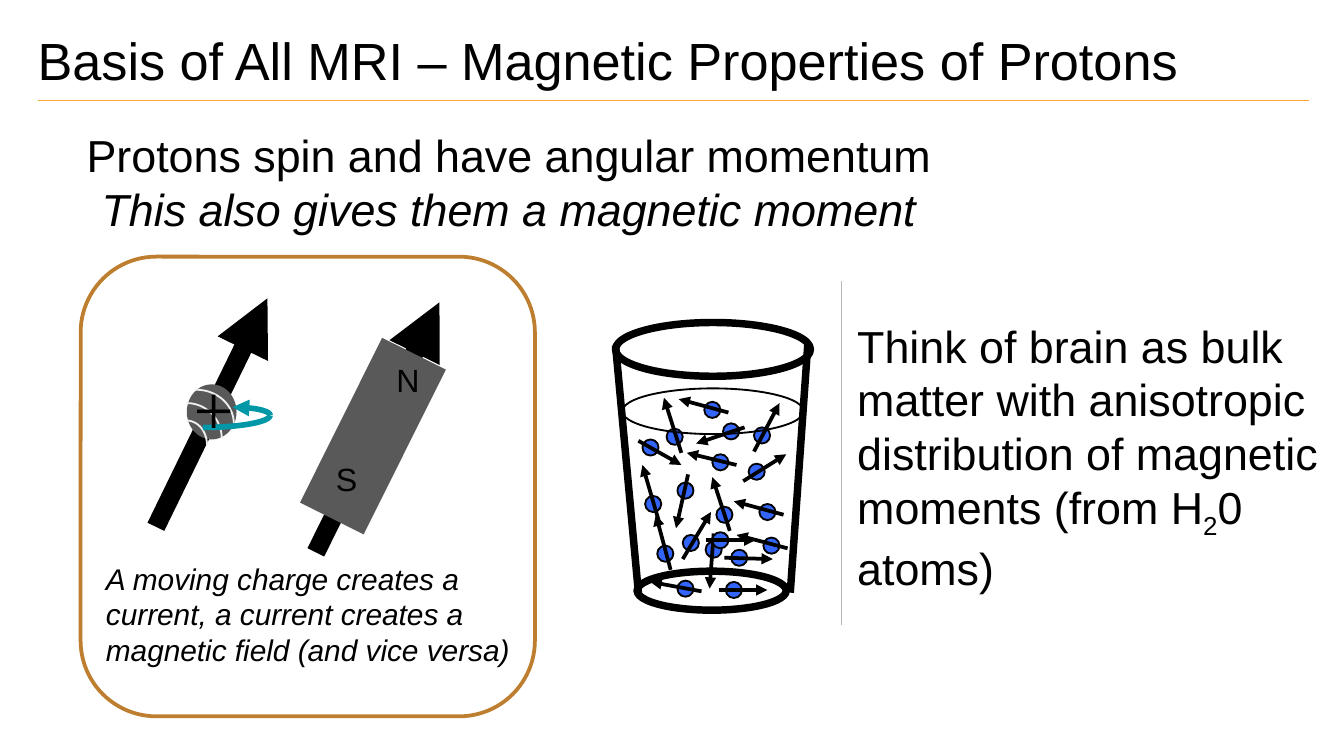
"""Build a slide on the magnetic properties of protons as the basis of MRI."""
import math
from dataclasses import dataclass

import lxml.etree
import pptx
import pptx.dml.color
import pptx.enum.shapes
import pptx.enum.text
import pptx.oxml.ns
import pptx.util

Inches = pptx.util.Inches
SHAPES = pptx.enum.shapes.MSO_SHAPE
ALIGN = pptx.enum.text.PP_ALIGN
BLACK, GREY, PALE, TEAL = "000000", "595959", "EEEEEE", "0097A7"
BLUE, ORANGE, BROWN, SILVER = "3365FB", "FEA83A", "BD7F2F", "B7B7B7"
PROTON_SIZE = 0.12


@dataclass(frozen=True)
class Box:
    left: float
    top: float
    width: float
    height: float


@dataclass(frozen=True)
class Stroke:
    x1: float
    y1: float
    x2: float
    y2: float


@dataclass(frozen=True)
class Proton:
    left: float
    top: float
    moment: Stroke


@dataclass(frozen=True)
class QuarterArc:
    center_x: float
    center_y: float
    radius_x: float
    radius_y: float


@dataclass(frozen=True)
class Style:
    size: float
    font: str = "Arial"
    italic: bool = False


PROTONS = [
    Proton(5.61, 3.18, Stroke(5.61, 3.36, 5.8, 3)),
    Proton(4.78, 3.27, Stroke(4.75, 3.28, 5.07, 3.46)),
    Proton(5.3, 3.38, Stroke(5.48, 3.46, 5.11, 3.37)),
    Proton(5.04, 3.59, Stroke(5.12, 3.53, 5.03, 3.93)),
    Proton(5.25, 4.03, Stroke(5.31, 3.97, 5.28, 4.38)),
    Proton(5.33, 3.77, Stroke(5.43, 3.95, 5.3, 3.55)),
    Proton(4.89, 4.06, Stroke(4.99, 4.24, 4.88, 3.83)),
    Proton(5.44, 4.09, Stroke(5.39, 4.15, 5.75, 4.16)),
    Proton(5.57, 3.45, Stroke(5.53, 3.58, 5.85, 3.38)),
    Proton(5.38, 3.15, Stroke(5.54, 3.18, 5.18, 3.3)),
    Proton(5.65, 3.75, Stroke(5.83, 3.83, 5.46, 3.73)),
    Proton(5.08, 3.98, Stroke(5.08, 4.16, 5.29, 3.81)),
    Proton(5.68, 4, Stroke(5.86, 4.08, 5.48, 3.98)),
    Proton(5.04, 4.32, Stroke(5.22, 4.4, 4.84, 4.33)),
    Proton(5.4, 4.33, Stroke(5.35, 4.39, 5.71, 4.39)),
    Proton(5.24, 2.99, Stroke(5.42, 3.07, 5.05, 2.97)),
    Proton(4.96, 3.19, Stroke(5.07, 3.37, 4.94, 2.96)),
    Proton(4.8, 3.69, Stroke(4.9, 3.87, 4.78, 3.46)),
    Proton(5.3, 3.96, Stroke(5.25, 4.02, 5.62, 4.02)),
]


def rgb(color: str) -> pptx.dml.color.RGBColor:
    """Turn a hex string into a colour."""
    return pptx.dml.color.RGBColor.from_string(color)


def style_line(shape, color: str, width: float, arrow: str = "") -> None:
    """Colour an outline and put an arrowhead at the named end."""
    shape.line.color.rgb = rgb(color)
    shape.line.width = pptx.util.Pt(width)
    if arrow:
        outline = shape.element.spPr.find(pptx.oxml.ns.qn("a:ln"))
        lxml.etree.SubElement(outline, pptx.oxml.ns.qn(f"a:{arrow}"), type="triangle")


def draw_stroke(slide, stroke: Stroke, color: str, width: float, arrow: str = "") -> None:
    """Draw a straight line."""
    connector = slide.shapes.add_connector(
        pptx.enum.shapes.MSO_CONNECTOR.STRAIGHT,
        Inches(stroke.x1), Inches(stroke.y1), Inches(stroke.x2), Inches(stroke.y2))
    style_line(connector, color, width, arrow)
    lxml.etree.SubElement(connector.element.spPr, pptx.oxml.ns.qn("a:effectLst"))


def draw_shape(slide, preset, box: Box, fill: str = "", line: str = "",
               width: float = 1, rotation: float = 0) -> None:
    """Draw a preset shape, unfilled or unlined where no colour is given."""
    shape = slide.shapes.add_shape(preset, Inches(box.left), Inches(box.top),
                                   Inches(box.width), Inches(box.height))
    shape.shadow.inherit = False
    shape.rotation = rotation
    if fill:
        shape.fill.solid()
        shape.fill.fore_color.rgb = rgb(fill)
    else:
        shape.fill.background()
    if line:
        style_line(shape, line, width)
    else:
        shape.line.fill.background()


def draw_arc(slide, arc: QuarterArc, color: str, width: float, arrow: str = "") -> None:
    """Draw a quarter ellipse from its vertical to its horizontal radius."""
    steps = 24
    angles = [math.pi / 2 * (1 - step / steps) for step in range(steps + 1)]
    points = [(Inches(arc.center_x + arc.radius_x * math.cos(angle)),
               Inches(arc.center_y - arc.radius_y * math.sin(angle))) for angle in angles]
    builder = slide.shapes.build_freeform(*points[0])
    builder.add_line_segments(points[1:], close=False)
    curve = builder.convert_to_shape()
    curve.shadow.inherit = False
    curve.fill.background()
    style_line(curve, color, width, arrow)


def format_runs(paragraph, style: Style) -> None:
    """Apply a text style to every run of a paragraph."""
    for run in paragraph.runs:
        run.font.name = style.font
        run.font.size = pptx.util.Pt(style.size)
        run.font.italic = style.italic
        run.font.color.rgb = rgb(BLACK)


def draw_text(slide, box: Box, text: str, style: Style, wrap: bool = True,
              insets: tuple[float, float] = (0.1, 0.05)):
    """Add a text box and return its frame."""
    frame = slide.shapes.add_textbox(Inches(box.left), Inches(box.top),
                                     Inches(box.width), Inches(box.height)).text_frame
    frame.word_wrap = wrap
    frame.auto_size = pptx.enum.text.MSO_AUTO_SIZE.SHAPE_TO_FIT_TEXT
    frame.margin_left = frame.margin_right = Inches(insets[0])
    frame.margin_top = frame.margin_bottom = Inches(insets[1])
    frame.text = text
    for paragraph in frame.paragraphs:
        format_runs(paragraph, style)
    return frame


def draw_title(slide) -> None:
    """Place the slide title and its rule."""
    title = slide.shapes.title
    title.left, title.top = Inches(0.18), Inches(0.11)
    title.width, title.height = Inches(8.82), Inches(0.94)
    frame = title.text_frame
    frame.text = "Basis of All MRI – Magnetic Properties of Protons"
    frame.vertical_anchor = pptx.enum.text.MSO_ANCHOR.TOP
    frame.auto_size = pptx.enum.text.MSO_AUTO_SIZE.NONE
    frame.margin_left = frame.margin_right = Inches(0.1)
    frame.margin_top = frame.margin_bottom = Inches(0.1)
    frame.paragraphs[0].alignment = ALIGN.LEFT
    format_runs(frame.paragraphs[0], Style(28))
    draw_stroke(slide, Stroke(0.28, 0.75, 9.74, 0.75), ORANGE, 0.75)


def draw_spin_and_magnet(slide) -> None:
    """Draw the spinning proton beside its bar magnet equivalent."""
    label_insets = (0.05, 0.02)
    draw_stroke(slide, Stroke(1.16, 3.92, 1.99, 2.22), BLACK, 10, "tailEnd")
    draw_shape(slide, SHAPES.OVAL, Box(1.39, 2.86, 0.37, 0.41), GREY)
    for meridian in (QuarterArc(1.46, 3.15, 0.28, 0.25), QuarterArc(1.39, 3.26, 0.26, 0.26),
                     QuarterArc(1.39, 3.31, 0.15, 0.18)):
        draw_arc(slide, meridian, PALE, 1)
    draw_arc(slide, QuarterArc(1.73, 3.09, 0.28, 0.06), TEAL, 3, "headEnd")
    draw_arc(slide, QuarterArc(1.51, 3.09, 0.5, -0.09), TEAL, 3)
    draw_text(slide, Box(1.39, 2.69, 0.4, 0.69), "+",
              Style(38.2, "Times New Roman"), False, label_insets)
    draw_stroke(slide, Stroke(2.35, 4.11, 3.27, 2.25), BLACK, 10, "tailEnd")
    draw_shape(slide, SHAPES.RECTANGLE, Box(2.51, 2.56, 0.53, 1.37), GREY, rotation=26.5)
    for pole, box in (("N", Box(2.9, 2.66, 0.27, 0.34)), ("S", Box(2.45, 3.4, 0.26, 0.34))):
        draw_text(slide, box, pole, Style(17.2), False, label_insets)
    draw_text(slide, Box(0.69, 4.12, 3.44, 0.91),
              "A moving charge creates a current, a current creates a magnetic field "
              "(and vice versa)", Style(16, italic=True))
    draw_shape(slide, SHAPES.ROUNDED_RECTANGLE, Box(0.6, 1.91, 3.38, 3.42), line=BROWN, width=2)


def draw_glass(slide) -> None:
    """Draw the glass of water with its randomly oriented protons."""
    for rim in (Box(4.58, 2.4, 1.45, 0.4), Box(4.74, 4.25, 1.11, 0.29)):
        draw_shape(slide, SHAPES.OVAL, rim, line=BLACK, width=4)
    for side in (Stroke(4.75, 4.41, 4.58, 2.57), Stroke(5.88, 4.41, 6.01, 2.57)):
        draw_stroke(slide, side, BLACK, 4)
    for proton in PROTONS:
        draw_shape(slide, SHAPES.OVAL, Box(proton.left, proton.top, PROTON_SIZE, PROTON_SIZE),
                   BLUE, BLACK)
        draw_stroke(slide, proton.moment, BLACK, 2, "tailEnd")
    draw_shape(slide, SHAPES.OVAL, Box(4.63, 2.89, 1.35, 0.34), line=BLACK)


def draw_statements(slide) -> None:
    """Write the spin statement and the remark on bulk matter."""
    spin = draw_text(slide, Box(0.51, 0.9, 6.55, 0.91),
                     "Protons spin and have angular momentum\n"
                     "This also gives them a magnetic moment", Style(24), False)
    for paragraph in spin.paragraphs:
        paragraph.alignment = ALIGN.CENTER
    spin.paragraphs[1].runs[0].font.italic = True
    bulk = draw_text(slide, Box(6.28, 2.32, 3.87, 2.12),
                     "Think of brain as bulk matter with anisotropic distribution of "
                     "magnetic moments (from H", Style(24)).paragraphs[0]
    subscript = bulk.add_run()
    subscript.text = "2"
    bulk.add_run().text = "0 atoms)"
    format_runs(bulk, Style(24))
    subscript.font._element.set("baseline", "-25000")
    draw_stroke(slide, Stroke(6.26, 2.09, 6.26, 4.65), SILVER, 0.75)


def main() -> None:
    """Assemble and save the slide."""
    deck = pptx.Presentation()
    deck.slide_width = Inches(10)
    deck.slide_height = deck.slide_width * 9 // 16
    slide = deck.slides.add_slide(deck.slide_layouts[5])
    draw_title(slide)
    draw_spin_and_magnet(slide)
    draw_glass(slide)
    draw_statements(slide)
    deck.save("out.pptx")


if __name__ == "__main__":
    main()
